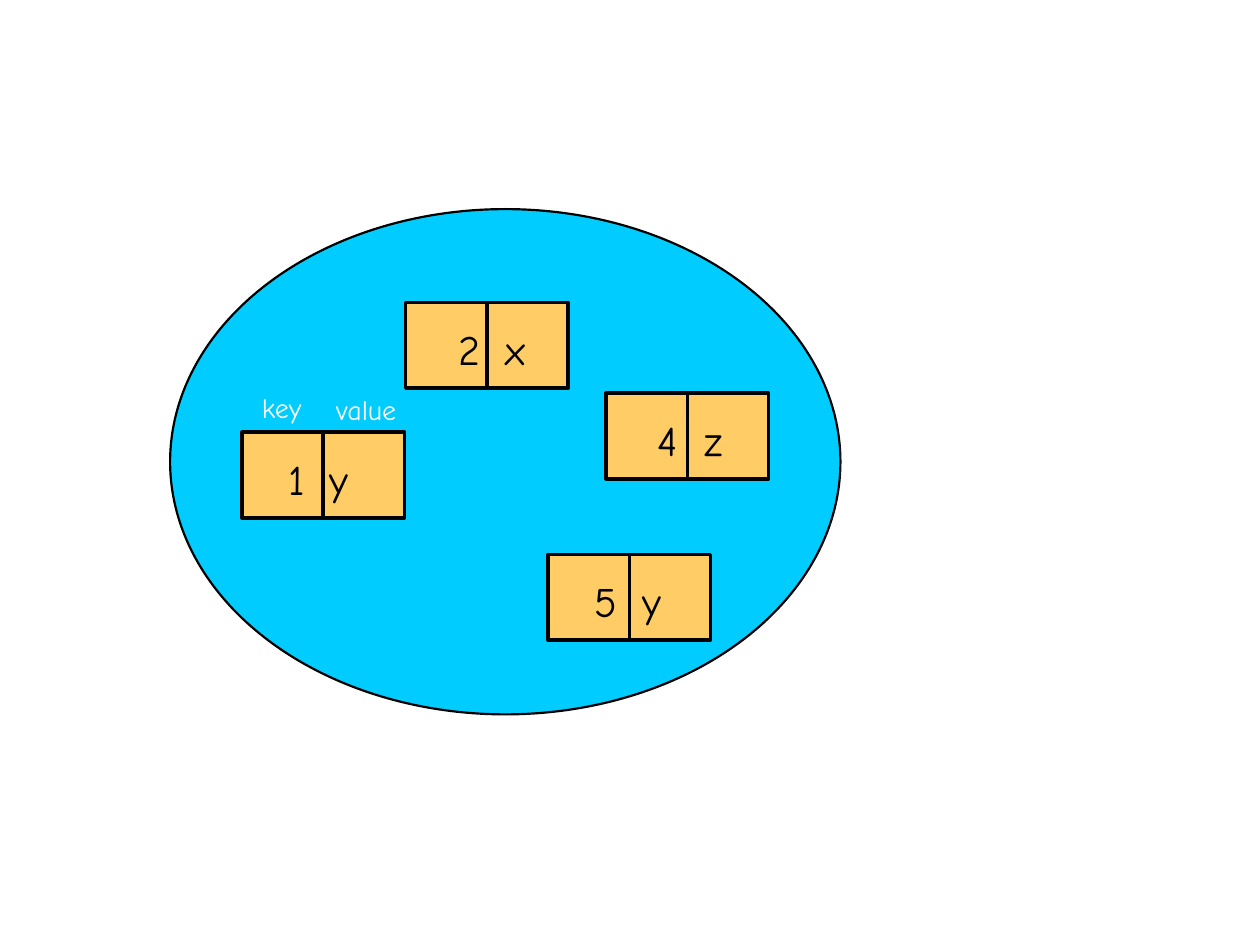
import pptx
import pptx.dml.color
import pptx.enum.shapes
import pptx.enum.text
import pptx.oxml.ns
import pptx.util
from lxml import etree

SKY = pptx.dml.color.RGBColor(0x00, 0xCC, 0xFF)
SAND = pptx.dml.color.RGBColor(0xFF, 0xCC, 0x66)
BLACK = pptx.dml.color.RGBColor(0, 0, 0)
WHITE = pptx.dml.color.RGBColor(255, 255, 255)

presentation = pptx.Presentation()
presentation.slide_width = pptx.util.Inches(10)
presentation.slide_height = pptx.util.Inches(7.5)
slide = presentation.slides.add_slide(presentation.slide_layouts[6])

# Grid: 1000 columns by 750 rows
COLUMN = presentation.slide_width // 1000
ROW = presentation.slide_height // 750
PAIR_COLUMNS, PAIR_ROWS = 129, 68


def add_filled(kind, left, top, columns, rows, color, line_width):
    shape = slide.shapes.add_shape(
        kind, left * COLUMN, top * ROW, columns * COLUMN, rows * ROW)
    shape.shadow.inherit = False
    shape.fill.solid()
    shape.fill.fore_color.rgb = color
    shape.line.color.rgb = BLACK
    shape.line.width = pptx.util.Pt(line_width)
    return shape


def add_text(text, left, top, columns, rows, size, color, tab=None):
    box = slide.shapes.add_textbox(
        left * COLUMN, top * ROW, columns * COLUMN, rows * ROW)
    frame = box.text_frame
    frame.word_wrap = tab is not None
    frame.auto_size = pptx.enum.text.MSO_AUTO_SIZE.SHAPE_TO_FIT_TEXT
    paragraph = frame.paragraphs[0]
    if tab is not None:
        properties = paragraph._p.get_or_add_pPr()
        stops = etree.SubElement(properties, pptx.oxml.ns.qn("a:tabLst"))
        etree.SubElement(stops, pptx.oxml.ns.qn("a:tab"),
                         pos=str(tab * COLUMN), algn="l")
    run = paragraph.add_run()
    run.text = text
    formats = {"name": "Comic Neue", "size": pptx.util.Pt(size)}
    for attribute, value in formats.items():
        setattr(run.font, attribute, value)
    run.font.color.rgb = color


# The map
add_filled(pptx.enum.shapes.MSO_SHAPE.OVAL, 135, 166, 532, 401, SKY, 1.25)

# Pairs: key, value, left, top, text left, text width, tab stop of the value
pairs = [
    ("5", "y", 435, 440, 462, 75, 38),
    ("4", "z", 481, 312, 512, 73, 37),
    ("1", "y", 192, 343, 219, 70, 33),
    ("2", "x", 322, 240, 354, 75, 37),
]
for key, value, left, top, text_left, text_columns, tab in pairs:
    pair = add_filled(pptx.enum.shapes.MSO_SHAPE.RECTANGLE, left, top,
                      PAIR_COLUMNS, PAIR_ROWS, SAND, 2)
    # Divider between key and value
    divider = slide.shapes.add_connector(
        pptx.enum.shapes.MSO_CONNECTOR.STRAIGHT, 0, 0, 0, 0)
    divider.begin_connect(pair, 0)
    divider.end_connect(pair, 2)
    divider.line.color.rgb = BLACK
    divider.line.width = pptx.util.Pt(2)
    etree.SubElement(divider._element.spPr, pptx.oxml.ns.qn("a:effectLst"))
    add_text(f"{key}\t{value}", text_left, top + 12, text_columns, 50, 24,
             BLACK, tab)

# Labels above the first pair
add_text("key", 198, 305, 51, 37, 16, WHITE)
add_text("value", 257, 307, 68, 37, 16, WHITE)

presentation.save("out.pptx")
